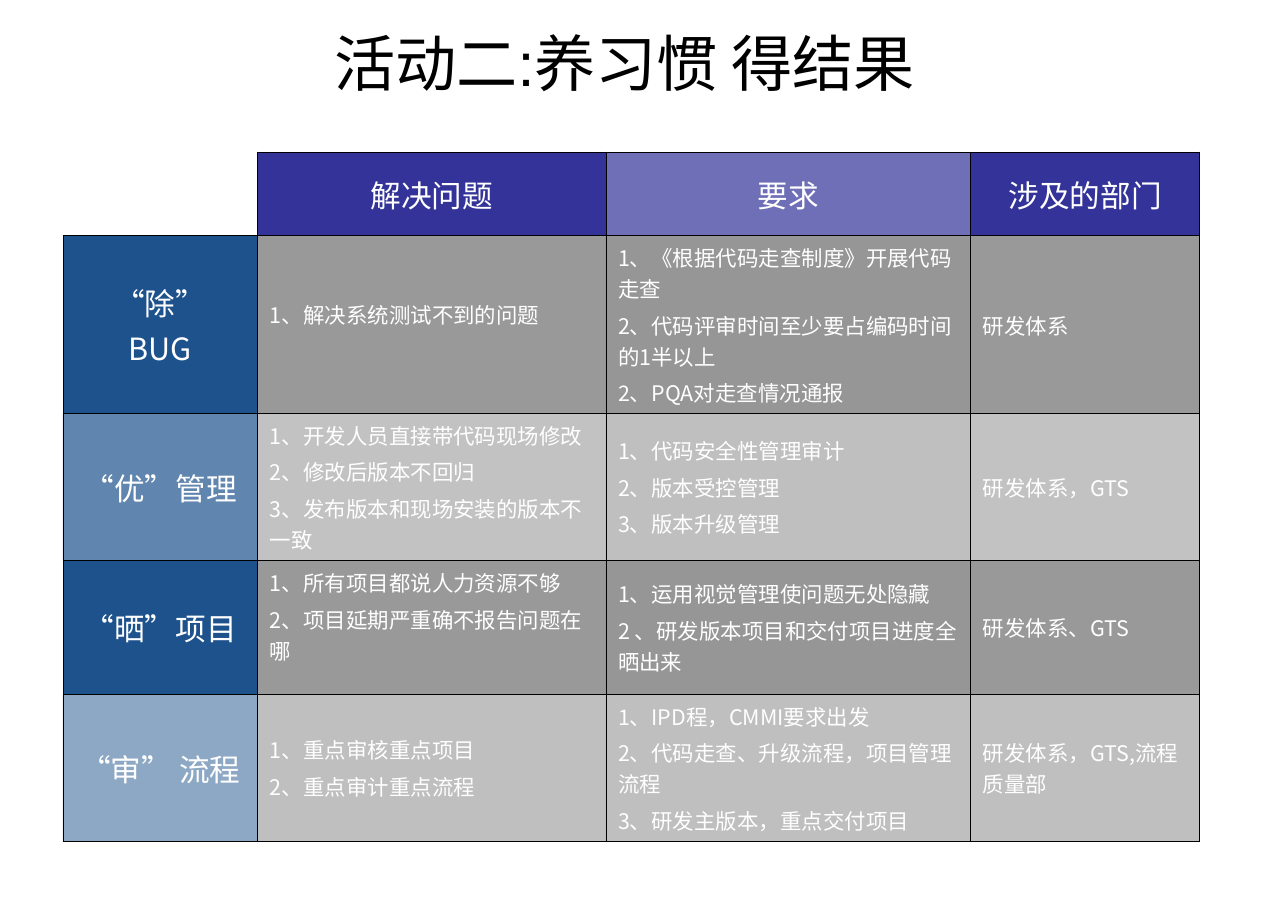
from lxml.etree import SubElement
from pptx import Presentation
from pptx.dml.color import RGBColor
from pptx.enum.text import MSO_ANCHOR as Anchor, MSO_AUTO_SIZE as AutoSize, PP_ALIGN as Align
from pptx.oxml import parse_xml
from pptx.oxml.ns import nsdecls, qn
from pptx.util import Inches, Pt

CJK = "Noto Sans CJK SC"
INDIGO, BLUE, GREY = "333399", "1D528D", "808080"
TITLE_BOX = (0.41, 0.2, 10.52, 0.73)
TABLE_BOX = (0.57, 1.38, 10.32, 6.25)
COLUMNS = (1.77, 3.16, 3.31, 2.08)
ROWS = (0.76, 1.61, 1.33, 1.22, 1.33)
HEADING = {"size": 20, "gap": 5, "align": Align.CENTER}
DETAIL = {"size": 14, "gap": 3.5, "align": Align.LEFT}
RAISED = {**DETAIL, "bottom": 0.25}

# Each cell: text, fill colour, fill opacity in percent, format
CELLS = [
    [None,
     ("解决问题", INDIGO, 100, HEADING),
     ("要求", INDIGO, 70, HEADING),
     ("涉及的部门", INDIGO, 100, HEADING)],
    [("“除”\vBUG", BLUE, 100, HEADING),
     ("1、解决系统测试不到的问题", GREY, 80, RAISED),
     ("1、《根据代码走查制度》开展代码走查\n2、代码评审时间至少要占编码时间的1半以上\n"
      "2、PQA对走查情况通报", GREY, 82, DETAIL),
     ("研发体系", GREY, 80, DETAIL)],
    [("“优”管理", BLUE, 70, HEADING),
     ("1、开发人员直接带代码现场修改\n2、修改后版本不回归\n"
      "3、发布版本和现场安装的版本不一致", GREY, 48, DETAIL),
     ("1、代码安全性管理审计\n2、版本受控管理\n3、版本升级管理", GREY, 50, DETAIL),
     ("研发体系，GTS", GREY, 48, DETAIL)],
    [("“晒”项目", BLUE, 100, HEADING),
     ("1、所有项目都说人力资源不够\n2、项目延期严重确不报告问题在哪", GREY, 80, RAISED),
     ("1、运用视觉管理使问题无处隐藏\n2 、研发版本项目和交付项目进度全晒出来", GREY, 82, DETAIL),
     ("研发体系、GTS", GREY, 80, DETAIL)],
    [("“审” 流程", BLUE, 50, HEADING),
     ("1、重点审核重点项目\n2、重点审计重点流程", GREY, 50, DETAIL),
     ("1、IPD程，CMMI要求出发\n2、代码走查、升级流程，项目管理流程\n"
      "3、研发主版本，重点交付项目", GREY, 50, DETAIL),
     ("研发体系，GTS,流程质量部", GREY, 50, DETAIL)],
]


def colour(hex_string):
    return RGBColor.from_string(hex_string)


def set_font(paragraph, latin, size, hex_string):
    for run in paragraph.runs:
        values = {"name": latin, "size": Pt(size), "bold": False}
        for name, value in values.items():
            setattr(run.font, name, value)
        run.font.color.rgb = colour(hex_string)
        east_asian = parse_xml(f'<a:ea {nsdecls("a")} typeface="{CJK}"/>')
        run.font._element.find(qn("a:latin")).addnext(east_asian)


def set_borders(cell, visible):
    """Draw the visible sides in black and clear the others."""
    properties = cell._tc.get_or_add_tcPr()
    for index, side in enumerate("LRTB"):
        paint = ('<a:solidFill><a:srgbClr val="000000"/></a:solidFill>'
                 if side in visible else "<a:noFill/>")
        properties.insert(index, parse_xml(
            f'<a:ln{side} {nsdecls("a")} w="{Pt(0.45)}">{paint}</a:ln{side}>'))


def set_fill(cell, hex_string, opacity):
    cell.fill.solid()
    cell.fill.fore_color.rgb = colour(hex_string)
    if opacity < 100:
        tint = cell._tc.tcPr.find(".//" + qn("a:srgbClr"))
        SubElement(tint, qn("a:alpha"), val=str(opacity * 1000))


def fill_cell(cell, text, hex_string, opacity, style):
    values = {
        "vertical_anchor": Anchor.MIDDLE,
        "margin_left": Inches(0.11), "margin_right": Inches(0.11),
        "margin_top": Inches(0.05), "margin_bottom": Inches(style.get("bottom", 0.05)),
    }
    for name, value in values.items():
        setattr(cell, name, value)
    cell.text_frame.text = text
    for index, paragraph in enumerate(cell.text_frame.paragraphs):
        paragraph.alignment = style["align"]
        if index:
            paragraph.space_before = Pt(style["gap"])
        set_font(paragraph, CJK, style["size"], "FFFFFF")
    set_fill(cell, hex_string, opacity)
    set_borders(cell, "LRTB")


def add_title(slide, box):
    title = slide.shapes.title
    for name, value in zip(("left", "top", "width", "height"), box):
        setattr(title, name, Inches(value))
    frame = title.text_frame
    frame.text = "活动二:养习惯 得结果"
    values = {"auto_size": AutoSize.NONE, "word_wrap": True, "vertical_anchor": Anchor.MIDDLE}
    for name, value in values.items():
        setattr(frame, name, value)
    paragraph = frame.paragraphs[0]
    paragraph.alignment = Align.CENTER
    set_font(paragraph, "Arial", 40, "000000")


def add_habit_table(slide, box):
    left, top, width, height = map(Inches, box)
    table = slide.shapes.add_table(len(ROWS), len(COLUMNS), left, top, width, height).table
    table.first_row = table.horz_banding = False
    for column, share in zip(table.columns, COLUMNS):
        column.width = int(width * share / sum(COLUMNS))
    for row, share in zip(table.rows, ROWS):
        row.height = int(height * share / sum(ROWS))
    for row, contents in zip(table.rows, CELLS):
        for cell, content in zip(row.cells, contents):
            if content:
                fill_cell(cell, *content)
            else:
                cell.fill.background()
                set_borders(cell, "RB")


def main():
    presentation = Presentation()
    presentation.slide_width = Inches(11.69)
    presentation.slide_height = Inches(8.27)
    slide = presentation.slides.add_slide(presentation.slide_layouts[5])
    add_habit_table(slide, TABLE_BOX)
    add_title(slide, TITLE_BOX)
    presentation.save("out.pptx")


if __name__ == "__main__":
    main()
